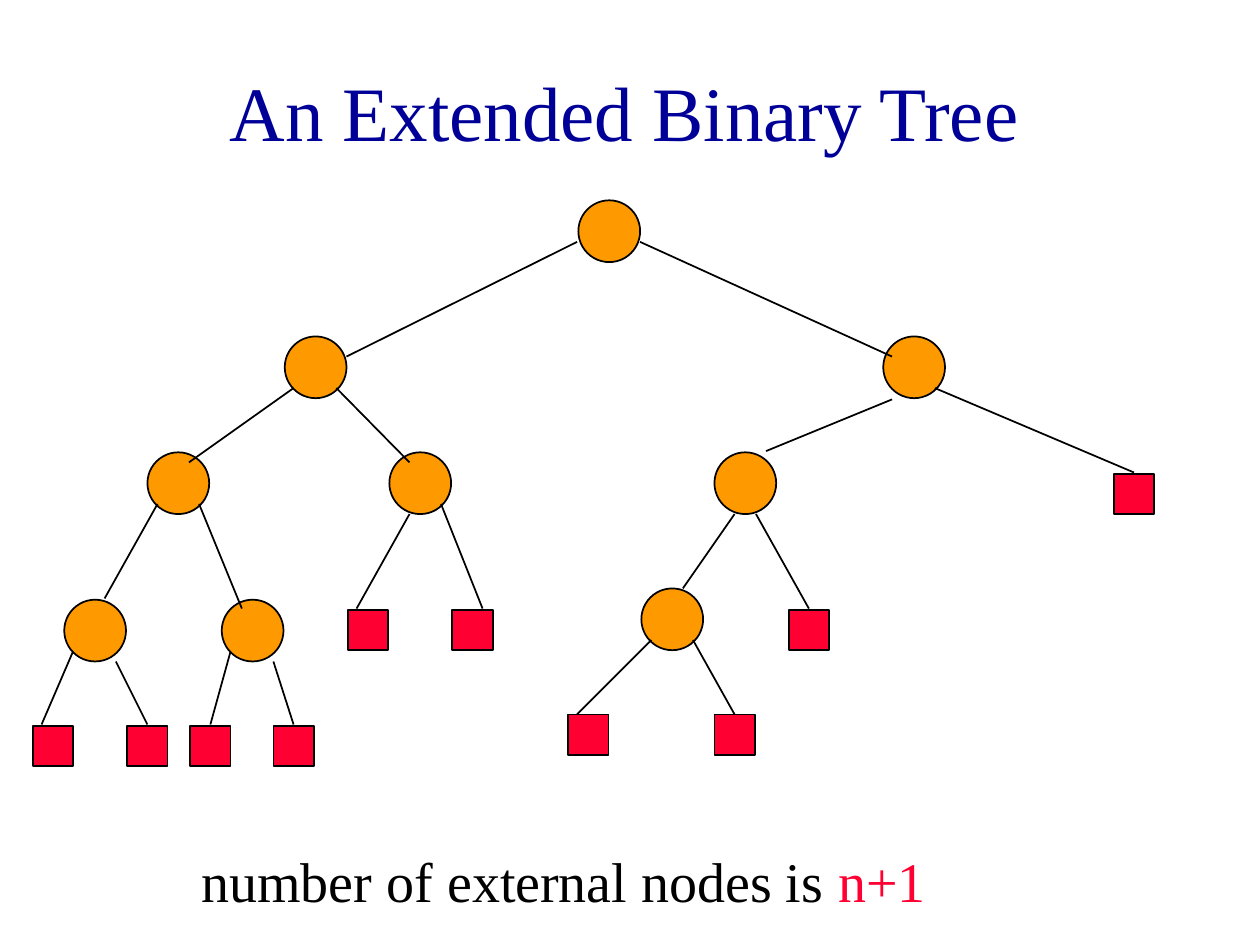
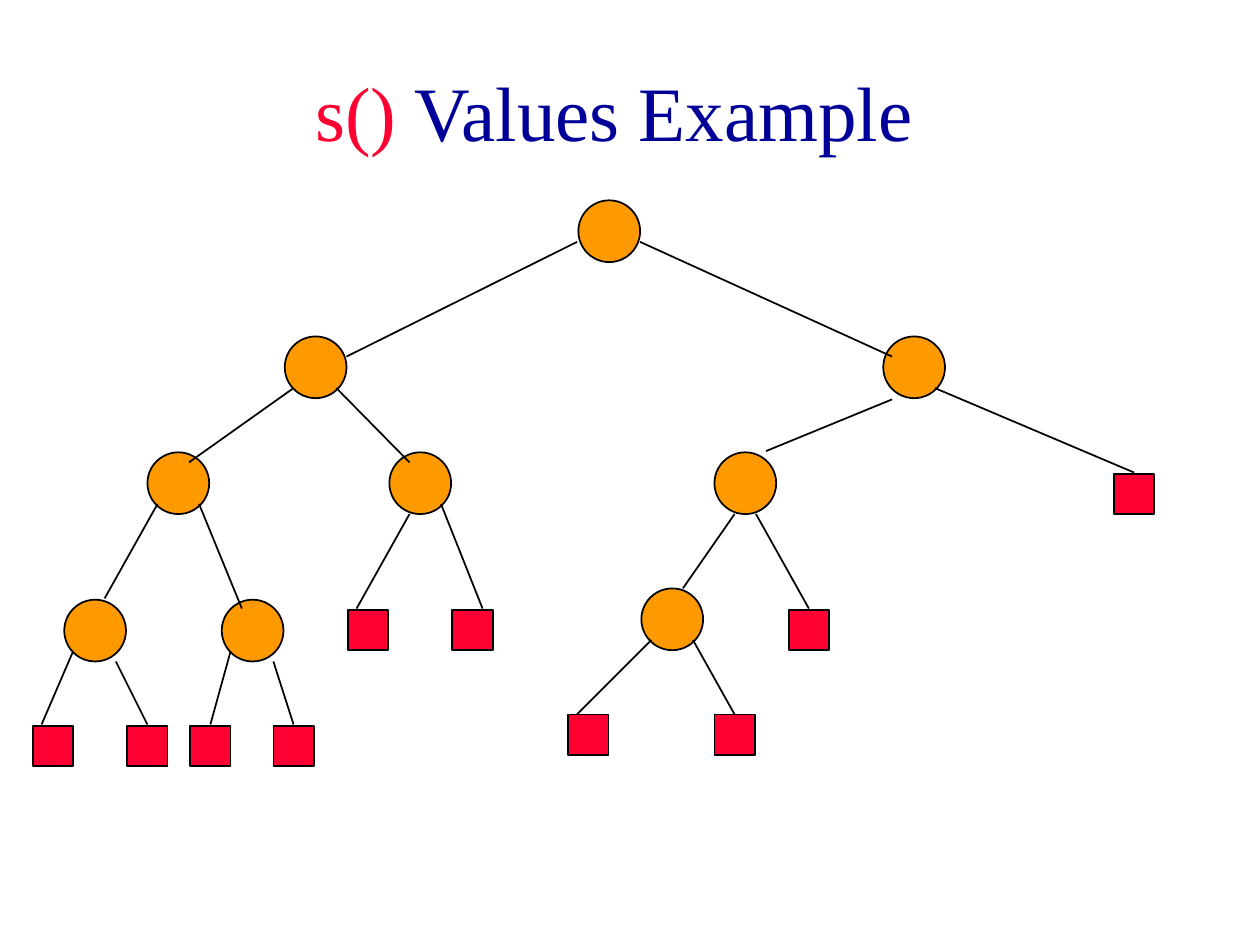
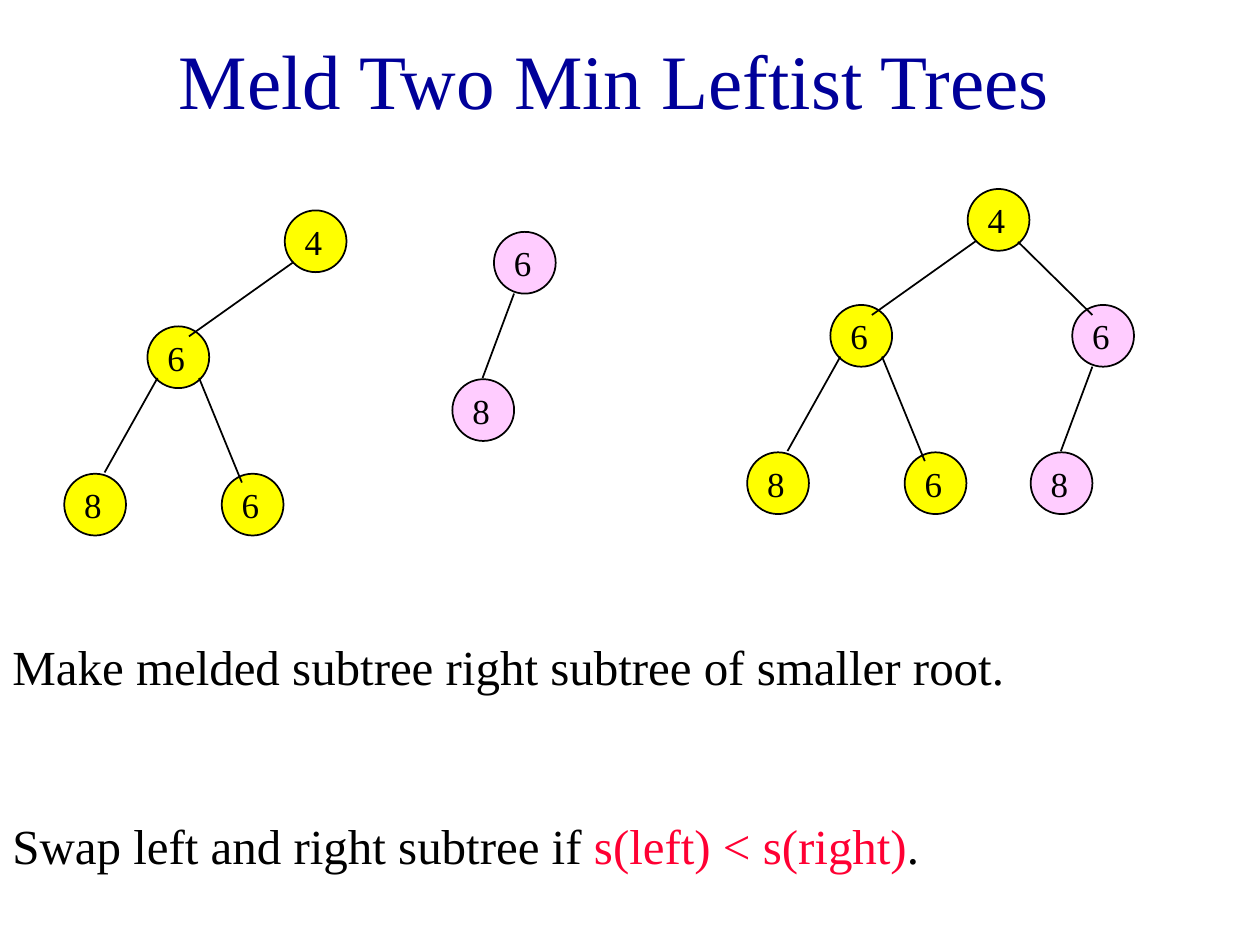
from pptx import Presentation
from pptx.dml.color import RGBColor
from pptx.enum.shapes import MSO_CONNECTOR, MSO_SHAPE
from pptx.enum.text import MSO_ANCHOR, MSO_AUTO_SIZE, PP_ALIGN
from pptx.oxml.ns import qn
from pptx.util import Inches, Pt
from lxml import etree

CIRCLE, SQUARE = MSO_SHAPE.OVAL, MSO_SHAPE.RECTANGLE
STRAIGHT = MSO_CONNECTOR.STRAIGHT
CENTER, LEFT = PP_ALIGN.CENTER, PP_ALIGN.LEFT
MIDDLE, TOP = MSO_ANCHOR.MIDDLE, MSO_ANCHOR.TOP
NO_RESIZE, GROW = MSO_AUTO_SIZE.NONE, MSO_AUTO_SIZE.SHAPE_TO_FIT_TEXT

FONT = "Times New Roman"
COLORS = {
    "title": "000099",
    "text": "000000",
    "accent": "FF0033",
    "internal": "FF9900",
    "external": "FF0033",
    "first": "FFFF00",
    "second": "FFCCFF",
}
CIRCLE_SIZE, SQUARE_SIZE = 0.49, 0.32

# Extended binary tree: node corners and edge ends (x1, y1, x2, y2)
INTERNAL_NODES = [
    (4.59, 1.59), (2.26, 2.67), (7.01, 2.67), (1.17, 3.59), (3.09, 3.59),
    (5.67, 3.59), (0.51, 4.76), (1.76, 4.76), (5.09, 4.67),
]
EXTERNAL_NODES = [
    (2.76, 4.84), (3.59, 4.84), (6.26, 4.84), (8.84, 3.76), (0.26, 5.76),
    (1.01, 5.76), (1.51, 5.76), (2.17, 5.76), (4.51, 5.67), (5.67, 5.67),
]
EXTENDED_EDGES = [
    (4.58, 1.92, 2.75, 2.83), (5.08, 1.92, 7.08, 2.83),
    (2.33, 3.08, 1.5, 3.67), (2.67, 3.08, 3.25, 3.67),
    (7.08, 3.17, 6.08, 3.58), (7.42, 3.08, 9, 3.75),
    (1.25, 4, 0.83, 4.75), (1.58, 4, 1.92, 4.83),
    (3.25, 4.08, 2.83, 4.83), (3.5, 4, 3.83, 4.83),
    (5.83, 4.08, 5.42, 4.67), (6, 4.08, 6.42, 4.83),
    (0.58, 5.17, 0.33, 5.75), (0.92, 5.25, 1.17, 5.75),
    (1.83, 5.17, 1.67, 5.75), (2.17, 5.25, 2.33, 5.75),
    (5.17, 5.08, 4.58, 5.67), (5.5, 5.08, 5.83, 5.67),
]

# Leftist trees: labelled nodes and edges before melding
FIRST_NODES = [("4", 2.26, 1.67), ("6", 1.17, 2.59), ("8", 0.51, 3.76), ("6", 1.76, 3.76)]
FIRST_EDGES = [(2.33, 2.08, 1.5, 2.67), (1.25, 3, 0.83, 3.75), (1.58, 3, 1.92, 3.83)]
SECOND_NODES = [("6", 3.92, 1.84), ("8", 3.59, 3.01)]
SECOND_EDGES = [(4.08, 2.33, 3.83, 3)]
MELD_EDGE = (8.08, 1.92, 8.67, 2.5)


def rgb(color):
    return RGBColor.from_string(COLORS[color])


class Deck:
    def __init__(self):
        self.presentation = Presentation()
        self.presentation.slide_width = Inches(10)
        self.presentation.slide_height = Inches(7.5)
        self.shapes = None

    def new_slide(self, title_runs, left=0, top=0.25):
        slide = self.presentation.slides.add_slide(self.presentation.slide_layouts[6])
        self.shapes = slide.shapes
        self.text(title_runs, left, top, 9.75, 1.25, 44, CENTER, MIDDLE, NO_RESIZE)

    def text(self, runs, left, top, width, height, size,
             align=LEFT, anchor=TOP, auto_size=GROW, wrap=True):
        box = self.shapes.add_textbox(Inches(left), Inches(top), Inches(width), Inches(height))
        frame = box.text_frame
        frame.word_wrap = wrap
        frame.auto_size = auto_size
        frame.vertical_anchor = anchor
        paragraph = frame.paragraphs[0]
        paragraph.alignment = align
        paragraph.font.name = FONT
        paragraph.font.size = Pt(size)
        for words, color in runs:
            run = paragraph.add_run()
            run.text = words
            run.font.color.rgb = rgb(color)

    def node(self, kind, left, top, size, color):
        shape = self.shapes.add_shape(kind, Inches(left), Inches(top), Inches(size), Inches(size))
        shape.shadow.inherit = False
        shape.fill.solid()
        shape.fill.fore_color.rgb = rgb(color)
        shape.line.color.rgb = rgb("text")
        shape.line.width = Pt(1)

    def edge(self, x1, y1, x2, y2):
        connector = self.shapes.add_connector(
            STRAIGHT, Inches(x1), Inches(y1), Inches(x2), Inches(y2))
        connector.line.color.rgb = rgb("text")
        connector.line.width = Pt(1)
        etree.SubElement(connector._element.spPr, qn("a:effectLst"))

    def extended_tree(self):
        for left, top in INTERNAL_NODES:
            self.node(CIRCLE, left, top, CIRCLE_SIZE, "internal")
        for left, top in EXTERNAL_NODES:
            self.node(SQUARE, left, top, SQUARE_SIZE, "external")
        for ends in EXTENDED_EDGES:
            self.edge(*ends)

    def leftist_tree(self, nodes, edges, color, dx=0, dy=0):
        for label, left, top in nodes:
            self.node(CIRCLE, left + dx, top + dy, CIRCLE_SIZE, color)
            self.text([(label, "text")], left + dx + 0.06, top + dy + 0.03,
                      0.34, 0.43, 20, wrap=False)
        for x1, y1, x2, y2 in edges:
            self.edge(x1 + dx, y1 + dy, x2 + dx, y2 + dy)


def main():
    deck = Deck()

    # Extended binary tree
    deck.new_slide([("An Extended Binary Tree", "title")], left=0.08)
    deck.extended_tree()
    deck.text([("number of external nodes is ", "text"), ("n+1", "accent")],
              1.5, 6.67, 6.58, 0.63, 32)

    # s() values
    deck.new_slide([("s()", "accent"), (" Values Example", "title")])
    deck.extended_tree()

    # Melding: the two trees, then the same trees moved together
    deck.new_slide([("Meld Two Min Leftist Trees", "title")], top=0)
    deck.leftist_tree(FIRST_NODES, FIRST_EDGES, "first")
    deck.leftist_tree(SECOND_NODES, SECOND_EDGES, "second")
    deck.leftist_tree(FIRST_NODES, FIRST_EDGES, "first", 5.42, -0.17)
    deck.leftist_tree(SECOND_NODES, SECOND_EDGES, "second", 4.59, 0.58)
    deck.edge(*MELD_EDGE)
    deck.text([("Make melded subtree right subtree of smaller root.", "text")],
              0, 5, 8.75, 0.57, 28)
    deck.text([("Swap left and right subtree if ", "text"),
               ("s(left) < s(right)", "accent"), (".", "text")],
              0, 6.42, 7.41, 0.57, 28, wrap=False)

    deck.presentation.save("out.pptx")


if __name__ == "__main__":
    main()
